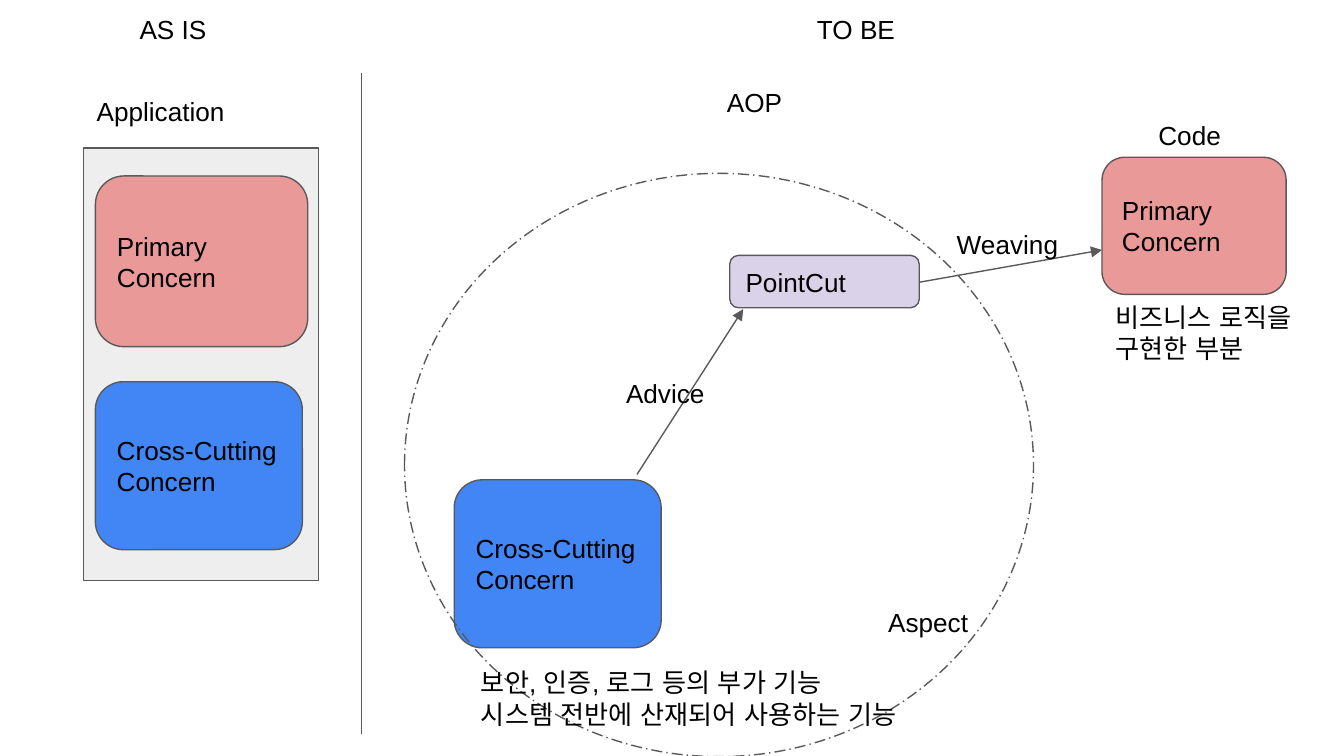
from pptx import Presentation
from pptx.dml.color import RGBColor
from pptx.enum.dml import MSO_LINE
from pptx.enum.shapes import MSO_CONNECTOR, MSO_SHAPE
from pptx.enum.text import MSO_ANCHOR, MSO_AUTO_SIZE, PP_ALIGN
from pptx.oxml.ns import qn
from pptx.util import Inches, Pt
from lxml import etree

THEME = {
    "font": "Arial", "size": 14, "text": "000000",
    "line": "595959", "line_width": 0.75,
    "panel": "EEEEEE", "primary": "EA9999",
    "cross": "4285F4", "pointcut": "D9D2E9",
}


def rgb(name):
    return RGBColor.from_string(THEME[name])


def write(s, text, anchor=MSO_ANCHOR.TOP, size=THEME["size"], color="text"):
    tf = s.text_frame
    tf.word_wrap = True
    tf.vertical_anchor = anchor
    tf.margin_left = tf.margin_right = Inches(0.1)
    tf.margin_top = tf.margin_bottom = Inches(0.1)
    for i, line in enumerate(text.split("\n")):
        p = tf.paragraphs[0] if i == 0 else tf.add_paragraph()
        p.alignment = PP_ALIGN.LEFT
        r = p.add_run()
        r.text = line
        r.font.name = THEME["font"]
        r.font.size = Pt(size)
        r.font.color.rgb = rgb(color)
        # Same typeface for Korean text
        for tag in ("a:ea", "a:cs"):
            etree.SubElement(r.font._element, qn(tag), typeface=THEME["font"])


prs = Presentation()
prs.slide_width = Inches(10)
prs.slide_height = Inches(10) * 9 // 16
slide = prs.slides.add_slide(prs.slide_layouts[6])

# Application panel, concern boxes, aspect circle and pointcut, back to front
RECT, ROUND, OVAL = MSO_SHAPE.RECTANGLE, MSO_SHAPE.ROUNDED_RECTANGLE, MSO_SHAPE.OVAL
shapes = [
    (RECT, 0.62, 1.1, 1.75, 3.22, "panel", ""),
    (ROUND, 0.71, 1.31, 1.58, 1.27, "primary", "Primary Concern"),
    (ROUND, 0.71, 2.84, 1.54, 1.25, "cross", "Cross-Cutting Concern"),
    (ROUND, 8.2, 1.17, 1.37, 1.02, "primary", "Primary Concern"),
    (ROUND, 3.38, 3.57, 1.54, 1.25, "cross", "Cross-Cutting Concern"),
    (OVAL, 3.01, 1.29, 4.68, 4.34, None, ""),
    (ROUND, 5.43, 1.9, 1.41, 0.39, "pointcut", "PointCut"),
]
for kind, x, y, w, h, fill, text in shapes:
    s = slide.shapes.add_shape(kind, Inches(x), Inches(y), Inches(w), Inches(h))
    s.shadow.inherit = False
    s.line.color.rgb = rgb("line")
    s.line.width = Pt(THEME["line_width"])
    if fill:
        s.fill.solid()
        s.fill.fore_color.rgb = rgb(fill)
    else:
        s.fill.background()
        s.line.dash_style = MSO_LINE.LONG_DASH_DOT
    if text:
        write(s, text, anchor=MSO_ANCHOR.MIDDLE)

# Divider, then the advice and weaving arrows
lines = [
    (2.69, 0.54, 2.69, 5.46, False),
    (4.74, 3.53, 5.53, 2.3, True),
    (6.84, 2.1, 8.2, 1.86, True),
]
for x1, y1, x2, y2, arrow in lines:
    s = slide.shapes.add_connector(
        MSO_CONNECTOR.STRAIGHT, Inches(x1), Inches(y1), Inches(x2), Inches(y2))
    s.line.color.rgb = rgb("line")
    s.line.width = Pt(THEME["line_width"])
    spPr = s._element.spPr
    if arrow:
        etree.SubElement(spPr.find(qn("a:ln")), qn("a:tailEnd"),
                         type="triangle", w="med", len="med")
    etree.SubElement(spPr, qn("a:effectLst"))

# Headings, labels and notes
labels = [
    (0.94, 0, 0.86, 0.44, "AS IS"),
    (5.98, 0, 0.86, 0.44, "TO BE"),
    (0.62, 0.61, 1.85, 0.44, "Application"),
    (5.31, 0.54, 1.48, 0.44, "AOP"),
    (8.52, 0.79, 0.99, 0.44, "Code"),
    (6.51, 4.41, 1.54, 0.44, "Aspect"),
    (4.56, 2.71, 1.37, 0.44, "Advice"),
    (7.02, 1.6, 0.99, 0.44, "Weaving"),
    (8.2, 2.14, 2.01, 0.67, "비즈니스 로직을 구현한 부분"),
    (3.48, 4.86, 3.57, 0.67,
     "보안, 인증, 로그 등의 부가 기능\n시스템 전반에 산재되어 사용하는 기능"),
]
for x, y, w, h, text in labels:
    s = slide.shapes.add_textbox(Inches(x), Inches(y), Inches(w), Inches(h))
    write(s, text)
    s.text_frame.auto_size = MSO_AUTO_SIZE.SHAPE_TO_FIT_TEXT

prs.save("out.pptx")
